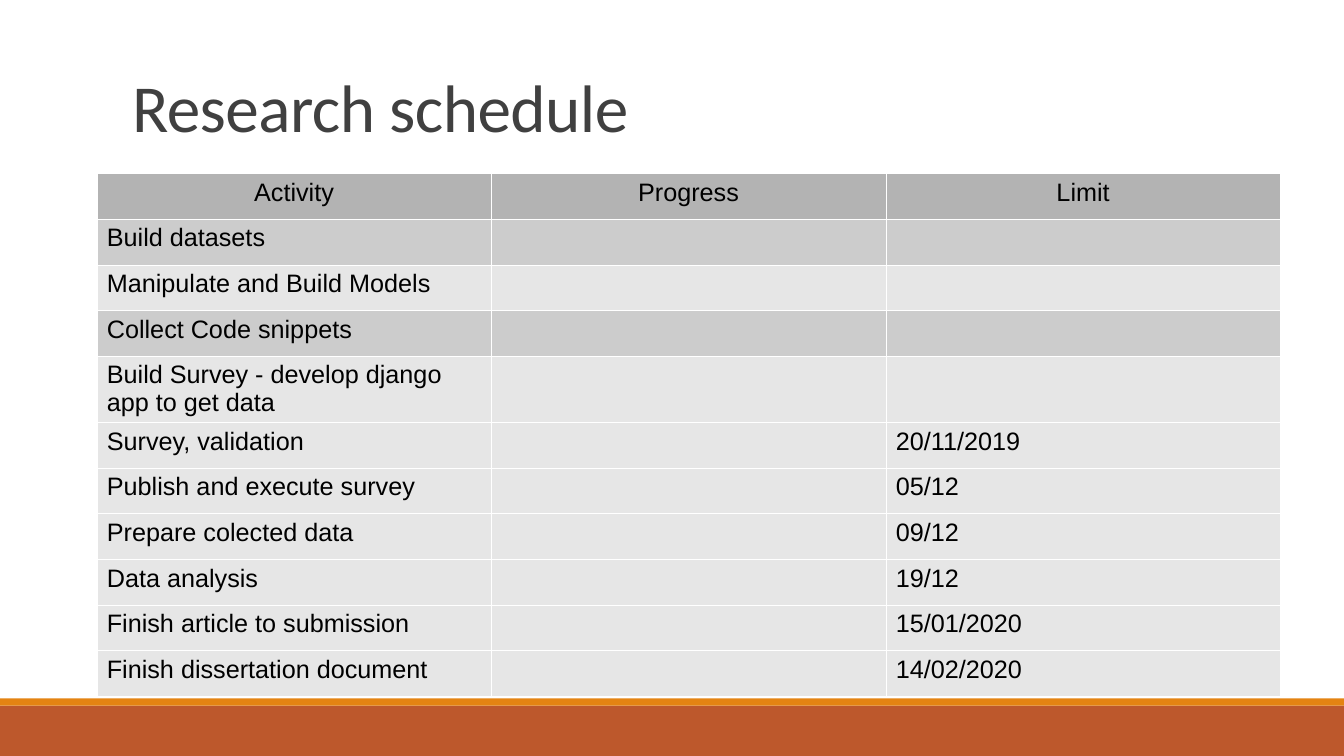
from pptx import Presentation, util as u
from pptx.dml.color import RGBColor
from pptx.enum import shapes, text
from pptx.oxml import parse_xml
from pptx.oxml.ns import nsdecls

COLORS = {"title": "404040", "ink": "000000", "rust": "BD582C", "orange": "E48312",
          "header": "B3B3B3", "done": "CCCCCC", "open": "E6E6E6", "border": "FFFFFF"}
SCHEDULE = [
    ("header", "Activity", "Progress", "Limit"),
    ("done", "Build datasets", "", ""),
    ("open", "Manipulate and Build Models", "", ""),
    ("done", "Collect Code snippets", "", ""),
    ("open", "Build Survey - develop django app to get data", "", ""),
    ("open", "Survey, validation", "", "20/11/2019"),
    ("open", "Publish and execute survey", "", "05/12"),
    ("open", "Prepare colected data", "", "09/12"),
    ("open", "Data analysis", "", "19/12"),
    ("open", "Finish article to submission", "", "15/01/2020"),
    ("open", "Finish dissertation document\u00a0", "", "14/02/2020"),
]


def paint(fill, color):
    """Fill a shape or cell with a named colour."""
    fill.solid()
    fill.fore_color.rgb = RGBColor.from_string(COLORS[color])


def write(frame, words, size=18, font="Arial", color="ink", align=text.PP_ALIGN.LEFT,
          line_spacing=None, tracking=None):
    """Put formatted words into a text frame."""
    paragraph = frame.paragraphs[0]
    paragraph.alignment = align
    paragraph.line_spacing = line_spacing
    paragraph.font.size = u.Pt(size)
    if not words:
        return
    run = paragraph.add_run()
    run.text = words
    run.font.size, run.font.name = u.Pt(size), font
    run.font.color.rgb = RGBColor.from_string(COLORS[color])
    if tracking is not None:
        run.font._element.set("spc", str(round(tracking * 100)))


def add_footer_bands(slide, left, top, width, height):
    """Stack a thin orange band on a deep rust band."""
    thin = u.Inches(0.07)
    for color, y, depth in (("rust", top + thin, height - thin), ("orange", top, thin)):
        band = slide.shapes.add_shape(shapes.MSO_SHAPE.RECTANGLE, left, y, width, depth)
        band.shadow.inherit = False
        paint(band.fill, color)
        band.line.fill.background()


def add_heading(slide, left, top, width, height):
    """Place the slide title in its placeholder."""
    heading = slide.shapes.title
    heading.left, heading.top, heading.width, heading.height = left, top, width, height
    frame = heading.text_frame
    frame.auto_size = text.MSO_AUTO_SIZE.NONE
    frame.word_wrap = True
    frame.vertical_anchor = text.MSO_ANCHOR.BOTTOM
    write(frame, "Research schedule", size=48, font="Calibri", color="title",
          line_spacing=0.85, tracking=-0.4)


def outline(cell):
    """Give a cell hairline borders on all four sides."""
    properties = cell._tc.get_or_add_tcPr()
    for position, side in enumerate(("lnL", "lnR", "lnT", "lnB")):
        properties.insert(position, parse_xml(
            f'<a:{side} {nsdecls("a")} w="{u.Pt(0.06)}"><a:solidFill>'
            f'<a:srgbClr val="{COLORS["border"]}"/></a:solidFill></a:{side}>'))


def add_schedule(slide, left, top, width, height):
    """Lay out the activities as equal rows and columns."""
    schedule = slide.shapes.add_table(
        len(SCHEDULE), len(SCHEDULE[0]) - 1, left, top, width, height).table
    schedule.first_row = schedule.horz_banding = False
    for row, (status, *entries) in enumerate(SCHEDULE):
        align = text.PP_ALIGN.CENTER if status == "header" else text.PP_ALIGN.LEFT
        for column, entry in enumerate(entries):
            cell = schedule.cell(row, column)
            paint(cell.fill, status)
            outline(cell)
            write(cell.text_frame, entry, align=align)


def main():
    """Build and save the research schedule slide."""
    deck = Presentation()
    deck.slide_width, deck.slide_height = u.Inches(13.33), u.Inches(7.5)
    slide = deck.slides.add_slide(deck.slide_layouts[5])
    add_footer_bands(slide, 0, u.Inches(6.93), deck.slide_width, u.Inches(0.57))
    add_heading(slide, u.Inches(1.21), u.Inches(0.63), u.Inches(11), u.Inches(0.87))
    add_schedule(slide, u.Inches(0.96), u.Inches(1.72), u.Inches(11.74), u.Inches(4.98))
    deck.save("out.pptx")


if __name__ == "__main__":
    main()
